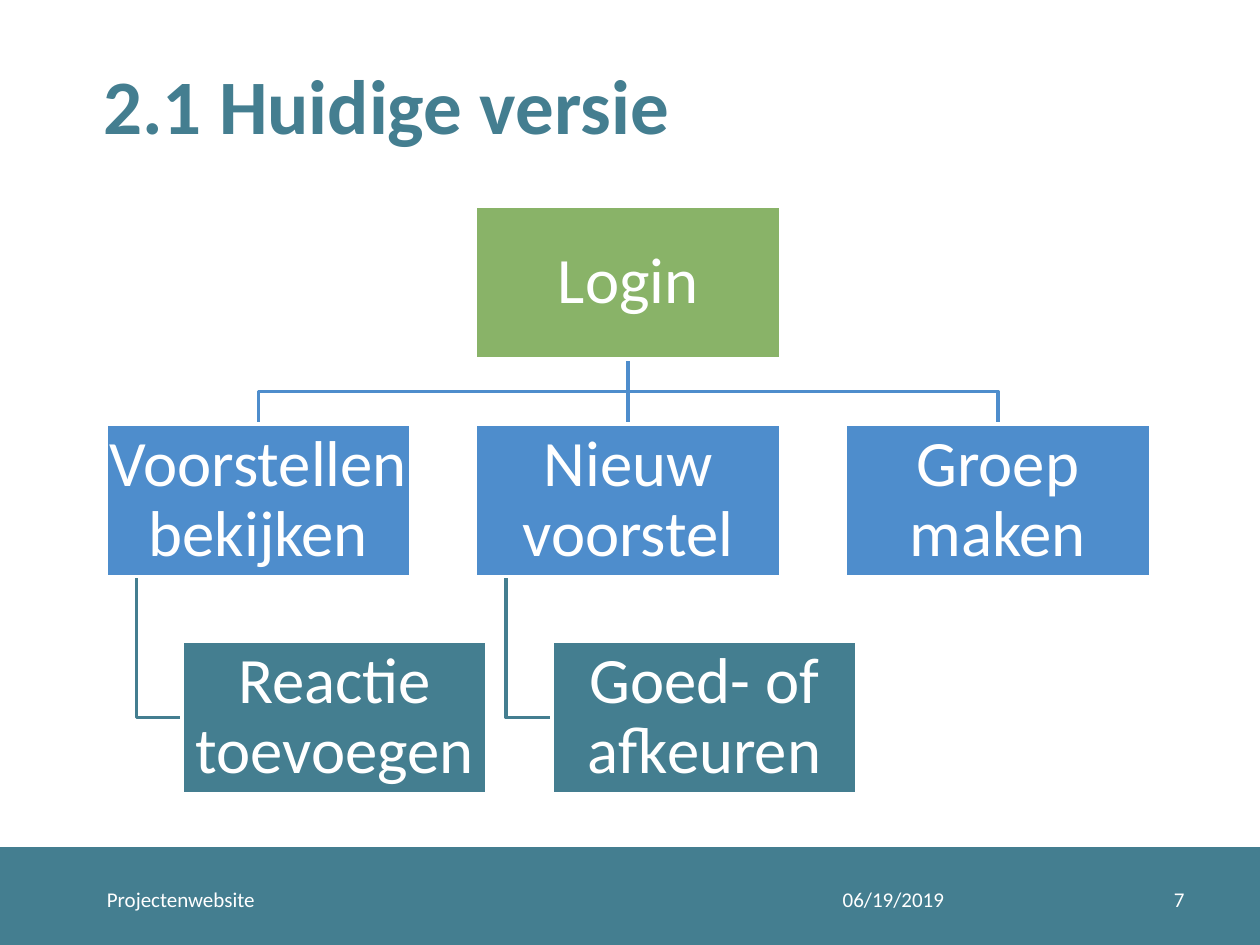
from lxml import etree
from pptx import Presentation
from pptx.dml.color import RGBColor
from pptx.enum.shapes import MSO_CONNECTOR, MSO_SHAPE
from pptx.enum.text import MSO_ANCHOR, PP_ALIGN
from pptx.oxml.ns import qn
from pptx.util import Inches, Pt

RECT, STRAIGHT = MSO_SHAPE.RECTANGLE, MSO_CONNECTOR.STRAIGHT
LEFT, CENTER, RIGHT = PP_ALIGN.LEFT, PP_ALIGN.CENTER, PP_ALIGN.RIGHT
MIDDLE = MSO_ANCHOR.MIDDLE

TEAL = RGBColor(0x44, 0x7E, 0x90)
BLUE = RGBColor(0x4E, 0x8D, 0xCC)
GREEN = RGBColor(0x89, 0xB3, 0x68)
WHITE = RGBColor(0xFF, 0xFF, 0xFF)

FONT = "Calibri"
SLIDE_W, SLIDE_H = 10, 7.5
BRANCHES = [
    ("Voorstellen bekijken", "Reactie toevoegen"),
    ("Nieuw voorstel", "Goed- of afkeuren"),
    ("Groep maken", None),
]


def inches(*lengths):
    return [Inches(length) for length in lengths]


def write(shape, text, size, align, color=WHITE, bold=False, spacing=1.0):
    frame = shape.text_frame
    frame.word_wrap = True
    frame.vertical_anchor = MIDDLE
    paragraph = frame.paragraphs[0]
    paragraph.alignment = align
    paragraph.line_spacing = spacing
    run = paragraph.add_run()
    run.text = text
    formats = {"name": FONT, "size": Pt(size), "bold": bold}
    for attribute, value in formats.items():
        setattr(run.font, attribute, value)
    run.font.color.rgb = color


def outline(shape, color):
    shape.line.color.rgb = color
    shape.line.width = Pt(2)


def add_block(slide, box, fill, line):
    block = slide.shapes.add_shape(RECT, *inches(*box))
    block.shadow.inherit = False
    block.fill.solid()
    block.fill.fore_color.rgb = fill
    outline(block, line)
    return block


def add_node(slide, box, text, fill):
    node = add_block(slide, box, fill, WHITE)
    for side in ("left", "top", "right", "bottom"):
        setattr(node.text_frame, f"margin_{side}", Inches(0.03))
    write(node, text, 37, CENTER, spacing=0.9)


def add_link(slide, points, color):
    """Draw a straight connector for two points, an open bent line for more."""
    start, *rest = [inches(*point) for point in points]
    if len(rest) == 1:
        link = slide.shapes.add_connector(STRAIGHT, *start, *rest[0])
        etree.SubElement(link._element.spPr, qn("a:effectLst"))
    else:
        builder = slide.shapes.build_freeform(*start)
        builder.add_line_segments(rest, close=False)
        link = builder.convert_to_shape()
        link.fill.background()
        link.shadow.inherit = False
    outline(link, color)


def build_title(slide, box, text):
    title = slide.shapes.title
    title.left, title.top, title.width, title.height = inches(*box)
    write(title, text, 44, LEFT, TEAL, bold=True)


def build_chart(slide, box):
    """Place the login node over its branches, each with an optional child."""
    left, top, width, height = box
    node_w = width * 0.292
    node_h = height * 0.26
    column = (width - node_w) / (len(BRANCHES) - 1)
    row = (height - node_h) / 2
    gap = row - node_h
    indent = node_w / 4
    stem = node_w / 10

    root_x = left + column
    root_center, root_bottom = root_x + node_w / 2, top + node_h
    branch_y, child_y = top + row, top + 2 * row
    bend_y = root_bottom + gap / 2
    nodes = [((root_x, top, node_w, node_h), "Login", GREEN)]

    for index, (branch, child) in enumerate(BRANCHES):
        x = left + index * column
        center = x + node_w / 2
        points = [(root_center, root_bottom), (center, branch_y)]
        if x != root_x:
            points[1:1] = [(root_center, bend_y), (center, bend_y)]
        add_link(slide, points, BLUE)
        nodes.append(((x, branch_y, node_w, node_h), branch, BLUE))
        if child:
            child_x, child_mid = x + indent, child_y + node_h / 2
            add_link(slide, [(x + stem, branch_y + node_h),
                             (x + stem, child_mid),
                             (child_x, child_mid)], TEAL)
            nodes.append(((child_x, child_y, node_w, node_h), child, TEAL))

    for node in nodes:
        add_node(slide, *node)


def build_footer(slide, box):
    left, top, width, height = box
    add_block(slide, box, TEAL, TEAL)
    entries = [
        ("Projectenwebsite", 0.075, 0.579, LEFT),
        ("06/19/2019", 0.659, 0.233, LEFT),
        ("7", 0.892, 0.058, RIGHT),
    ]
    for text, start, share, align in entries:
        entry = slide.shapes.add_textbox(*inches(
            left + start * width, top + 0.2, share * width, 0.4))
        write(entry, text, 12, align)


def main():
    deck = Presentation()
    deck.slide_width, deck.slide_height = inches(SLIDE_W, SLIDE_H)
    slide = deck.slides.add_slide(deck.slide_layouts[5])
    build_footer(slide, (0, 6.74, SLIDE_W, SLIDE_H - 6.74))
    build_title(slide, (0.72, 0.2, 8.78, 1.25), "2.1 Huidige versie")
    build_chart(slide, (0.84, 1.64, 8.29, 4.66))
    deck.save("out.pptx")


if __name__ == "__main__":
    main()
